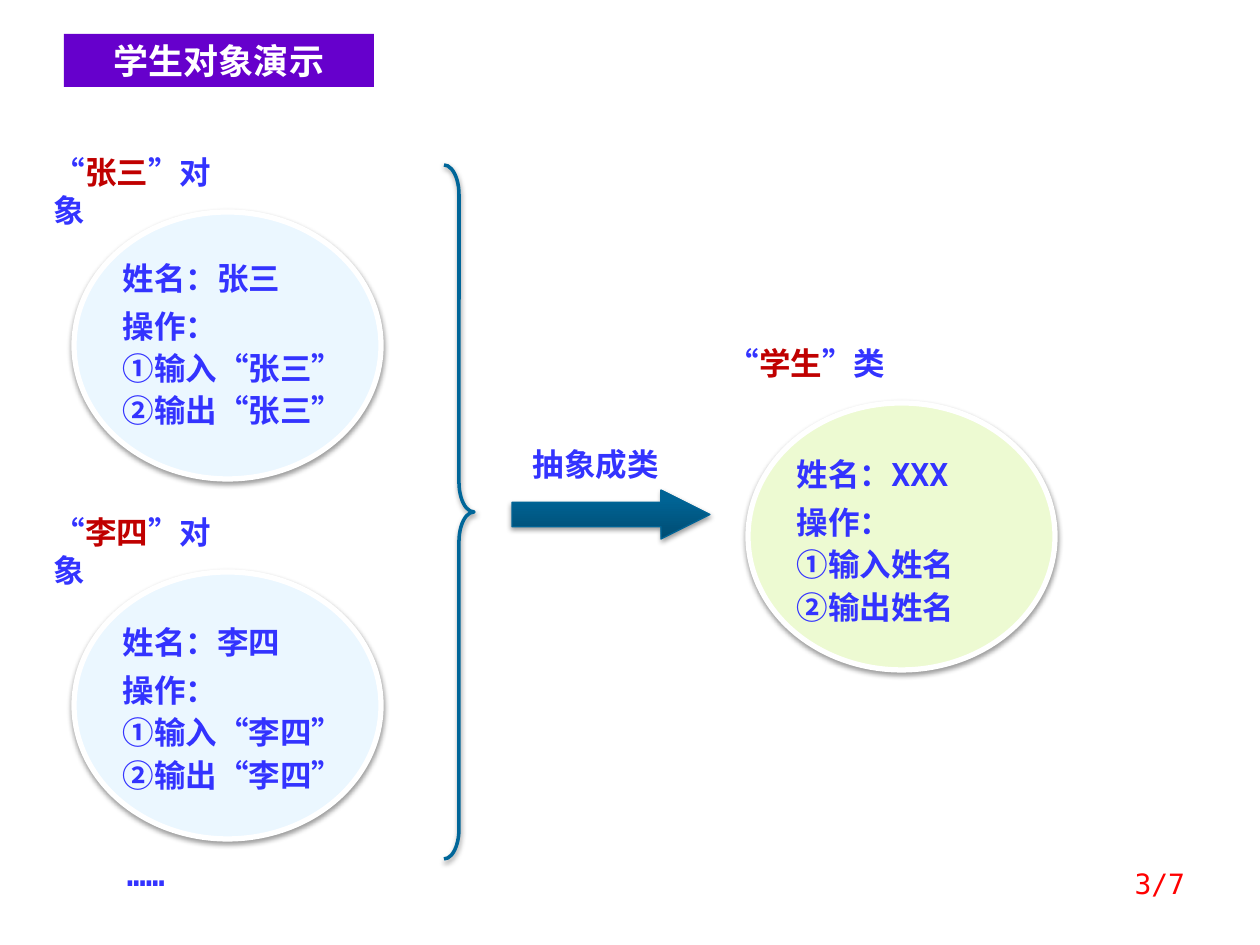
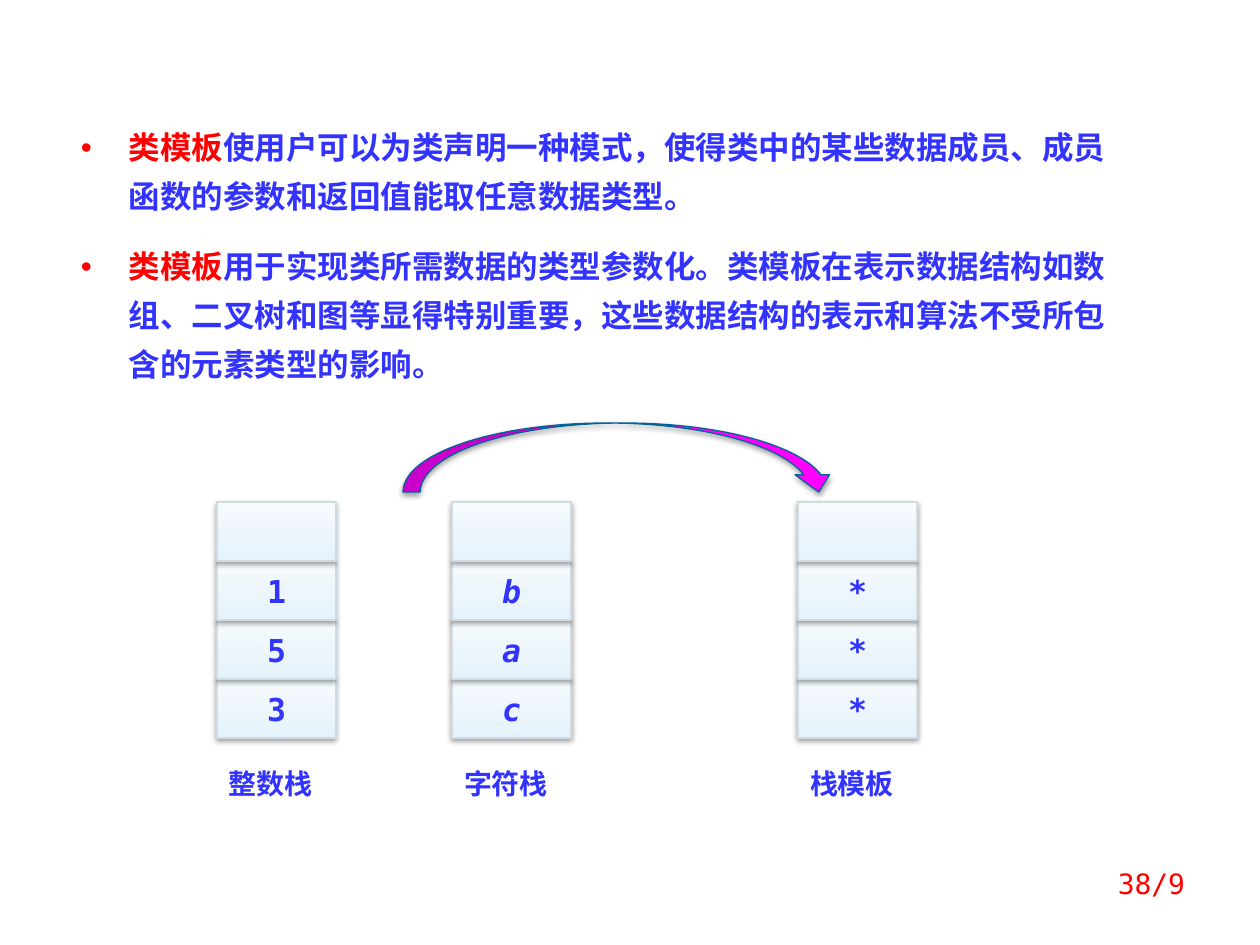
import dataclasses
import lxml.etree
import pptx
import pptx.dml.color
import pptx.enum.shapes
import pptx.enum.text
import pptx.oxml
import pptx.oxml.ns
import pptx.util

PX = 914400 / 126
NS = pptx.oxml.ns.nsdecls("a")
FORM = pptx.enum.shapes.MSO_SHAPE
ALIGN = pptx.enum.text.PP_ALIGN
MIDDLE = pptx.enum.text.MSO_ANCHOR.MIDDLE
Pt = pptx.util.Pt
qn = pptx.oxml.ns.qn
rgb = pptx.dml.color.RGBColor.from_string


@dataclasses.dataclass(frozen=True)
class Theme:
    text: str = "3333FF"
    name: str = "C00000"
    red: str = "FF0000"
    white: str = "FFFFFF"
    band: str = "6600CC"
    sky: str = "EBF7FF"
    lime: str = "EDFAD2"
    pink: str = "FF00FF"
    brace: str = "006699"
    edge: str = "006496"
    rim: str = "D0DBE2"
    teal: tuple = ((0, "004C72"), (80, "006394"), (100, "006395"))
    ice: tuple = ((0, "E3F2FC"), (35, "EBF5FC"), (100, "F6FBFE"))
    mono: str = "DejaVu Sans Mono"
    cjk: str = "Noto Sans CJK SC"
    term: str = "Noto Sans CJK JP"
    head: int = 20
    body: int = 18
    small: int = 16


T = Theme()


def draw(page, box, kind=None, fill=None, line=None, width=0.75):
    """Add a text box, or a shadowed shape when a kind is given; fill is a colour or gradient stops."""
    box = [round(n * PX) for n in box]
    if kind is None:
        return page.shapes.add_textbox(*box)
    shape = page.shapes.add_shape(kind, *box)
    props = shape.element.spPr
    if fill is None:
        shape.fill.background()
    elif isinstance(fill, str):
        shape.fill.solid()
        shape.fill.fore_color.rgb = rgb(fill)
    else:
        shape.fill.gradient()
        stops = "".join(f'<a:gs pos="{at * 1000}"><a:srgbClr val="{tint}"/></a:gs>' for at, tint in fill)
        props.replace(props.find(qn("a:gradFill")), pptx.oxml.parse_xml(
            f'<a:gradFill {NS} rotWithShape="1"><a:gsLst>{stops}</a:gsLst>'
            '<a:lin ang="16200000" scaled="0"/></a:gradFill>'))
    shape.line.color.rgb = rgb(line)
    shape.line.width = Pt(width)
    shape.shadow.inherit = False
    props.find(qn("a:effectLst")).append(pptx.oxml.parse_xml(
        f'<a:outerShdw {NS} blurRad="{Pt(3.1)}" dist="{Pt(1.6)}" dir="5400000" rotWithShape="0">'
        '<a:srgbClr val="000000"><a:alpha val="38000"/></a:srgbClr></a:outerShdw>'))
    return shape


def write(shape, paras, size=T.body, inset=0, lead=None, gap=9, align=ALIGN.LEFT, bold=True, font=T.mono):
    """Fill a shape with paragraphs, each a list of (text, colour[, font]) runs."""
    frame = shape.text_frame
    frame.word_wrap = True
    frame.margin_left = frame.margin_right = round(inset * 2 * PX)
    frame.margin_top = frame.margin_bottom = round(inset * PX)
    for i, runs in enumerate(paras):
        para = frame.add_paragraph() if i else frame.paragraphs[0]
        para.alignment = align
        para.line_spacing = Pt(lead or size * 1.2)
        para.space_before = Pt(gap if i else 0)
        for text, tint, *face in runs:
            run = para.add_run()
            run.text = text
            run.font.size = Pt(size)
            run.font.bold = bold
            run.font.color.rgb = rgb(tint)
            run.font.name = face[0] if face else font
            east = lxml.etree.SubElement(run.font._element, qn("a:ea"))
            east.set("typeface", face[0] if face else T.cjk)
    return frame


deck = pptx.Presentation()
deck.slide_width = pptx.util.Inches(10)
deck.slide_height = pptx.util.Inches(7.5)
demo = deck.slides.add_slide(deck.slide_layouts[5])
stack = deck.slides.add_slide(deck.slide_layouts[6])

# Slide 1: from objects to a class
title = demo.shapes.title
title.left, title.top, title.width, title.height = [round(n * PX) for n in (64, 34, 310, 53)]
title.fill.solid()
title.fill.fore_color.rgb = rgb(T.band)
frame = write(title, [[("学生对象演示", T.white)]], T.head, 5, align=ALIGN.CENTER, font=T.cjk)
frame.vertical_anchor = MIDDLE

ovals = [
    (74, 212, 47, T.sky, "张三", "”对象", "张三", "“张三”"),
    (74, 572, 51, T.sky, "李四", "”对象", "李四", "“李四”"),
    (748, 403, 52, T.lime, "学生", "”类", "XXX", "姓名"),
]
for x, y, drop, fill, name, tail, value, item in ovals:
    draw(demo, (x, y, 307, 267), FORM.OVAL, fill, T.white, 3)
    write(draw(demo, (x + 49, y + drop, 189, 38)), [[("姓名：" + value, T.text)]])
    steps = ["操作：", "①输入" + item, "②输出" + item]
    write(draw(demo, (x + 49, y + drop + 59, 241, 118)), [[(step, T.text)] for step in steps], lead=15.2)
    label = [("“", T.text), (name, T.name), (tail, T.text)]
    write(draw(demo, (x - 20, y - 59, 188, 38)), [label])
write(draw(demo, (115, 849, 208, 50)), [[("……", T.text)]], inset=6)

brace = draw(demo, (444, 165, 30, 694), FORM.RIGHT_BRACE, None, T.brace, 2)
brace.adjustments[0] = 0.99
arrow = draw(demo, (512, 490, 198, 49), FORM.RIGHT_ARROW, T.teal, T.edge)
arrow.adjustments[1] = 1
write(draw(demo, (533, 445, 189, 38)), [[("抽象成类", T.text)]])

# Slide 2: class templates
points = [
    "使用户可以为类声明一种模式，使得类中的某些数据成员、成员函数的参数和返回值能取任意数据类型。",
    "用于实现类所需数据的类型参数化。类模板在表示数据结构如数组、二叉树和图等显得特别重要，"
    "这些数据结构的表示和算法不受所包含的元素类型的影响。",
]
paras = [[("类模板", T.red, T.term), (point, T.text)] for point in points]
frame = write(draw(stack, (69, 111, 1074, 281)), paras, inset=6, lead=28, gap=12)
for para in frame.paragraphs:
    props = para._p.get_or_add_pPr()
    props.set("marL", str(round(48 * PX)))
    props.set("indent", str(-round(48 * PX)))
    tint = lxml.etree.SubElement(props, qn("a:buClr"))
    lxml.etree.SubElement(tint, qn("a:srgbClr")).set("val", T.red)
    lxml.etree.SubElement(props, qn("a:buFont")).set("typeface", "Arial")
    lxml.etree.SubElement(props, qn("a:buChar")).set("char", "•")

piles = [(217, "整数栈", "351", False), (452, "字符栈", "cab", True), (798, "栈模板", "***", True)]
for x, label, items, slant in piles:
    for i in range(4):
        cell = draw(stack, (x, 679 - 59 * i, 119, 59), FORM.RECTANGLE, T.ice, T.rim)
        if i < len(items):
            frame = write(cell, [[(items[i], T.text)]], align=ALIGN.CENTER)
            frame.vertical_anchor = MIDDLE
            frame.word_wrap = False
            frame.paragraphs[0].runs[0].font.italic = slant
    write(draw(stack, (x, 761, 119, 47)), [[(label, T.text)]], T.small, 6, font=T.cjk)
draw(stack, (403, 423, 433, 69), FORM.CURVED_DOWN_ARROW, T.pink, T.edge)

for page, mark in ((demo, "3/7"), (stack, "38/9")):
    write(draw(page, (903, 861, 294, 63)), [[(mark, T.red)]], T.small, 6, align=ALIGN.RIGHT, bold=False)

deck.save("out.pptx")
